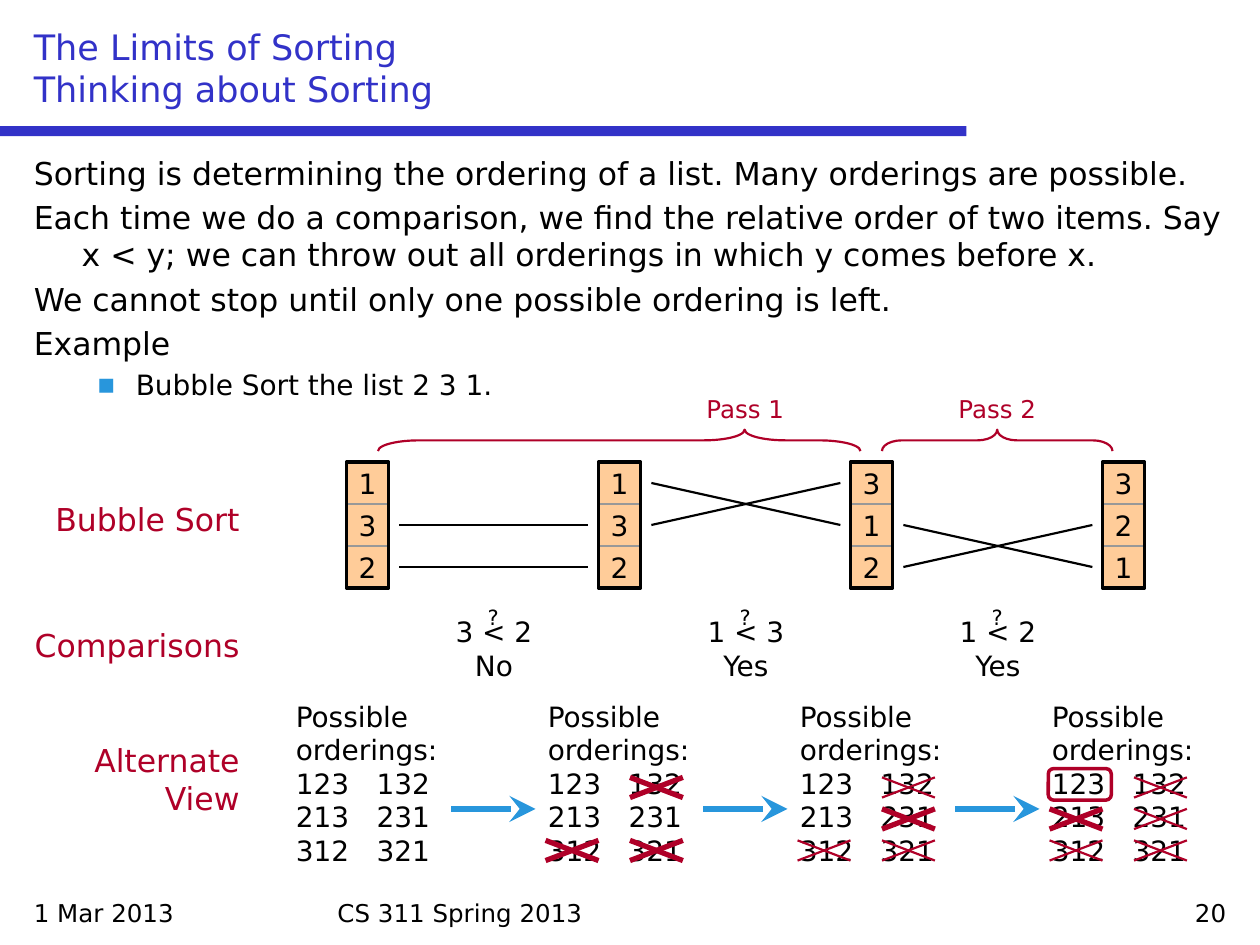
import pptx
import pptx.dml.color
import pptx.enum.shapes
import pptx.enum.text
import pptx.oxml
import pptx.oxml.ns
import pptx.util
from pptx.util import Inches

RGBColor = pptx.dml.color.RGBColor
SHAPE = pptx.enum.shapes.MSO_SHAPE
ALIGN = pptx.enum.text.PP_ALIGN
ANCHOR = pptx.enum.text.MSO_ANCHOR

FONT = "DejaVu Sans"
BLACK = RGBColor(0x00, 0x00, 0x00)
INDIGO = RGBColor(0x32, 0x32, 0xC8)
CRIMSON = RGBColor(0xAF, 0x00, 0x28)
SKY = RGBColor(0x28, 0x96, 0xDC)
PEACH = RGBColor(0xFF, 0xCC, 0x99)
GRAY = RGBColor(0x98, 0x98, 0x98)

STEP = 2          # distance between neighbouring stages
CELL = 1 / 3      # side of one list cell
LIST_LEFT, LIST_TOP = 2.75, 11 / 3

STATEMENTS = [
    "Sorting is determining the ordering of a list. Many orderings are possible.",
    "Each time we do a comparison, we find the relative order of two items. "
    "Say x < y; we can throw out all orderings in which y comes before x.",
    "We cannot stop until only one possible ordering is left.",
    "Example",
]
STAGES = ["132", "132", "312", "321"]
# Start row and end row of each link between neighbouring stages
LINKS = [[(1, 1), (2, 2)], [(0, 1), (1, 0)], [(1, 2), (2, 1)]]
COMPARISONS = [("3 < 2", "No"), ("1 < 3", "Yes"), ("1 < 2", "Yes")]
ORDERINGS = [("123", "132"), ("213", "231"), ("312", "321")]
ELIMINATED_AT = {"132": 1, "312": 1, "321": 1, "231": 2, "213": 3}


def add_child(parent, tag, **attributes):
    child = pptx.oxml.parse_xml(f"<a:{tag} {pptx.oxml.ns.nsdecls('a')}/>")
    for name, value in attributes.items():
        child.set(name, str(value))
    parent.append(child)
    return child


def add_lines(para, lines, size, color=BLACK):
    """Write lines into one paragraph, parted by line breaks."""
    for number, line in enumerate(lines):
        if number:
            para.add_line_break()
        span = para.add_run()
        span.text = line
        span.font.name = FONT
        span.font.size = pptx.util.Pt(size)
        span.font.color.rgb = color
    para.font.name = FONT
    para.font.size = pptx.util.Pt(size)


def add_text(page, left, top, width, height, lines, size, color=BLACK,
             align=ALIGN.LEFT, anchor=ANCHOR.TOP, tab=None):
    box = page.shapes.add_textbox(*map(Inches, (left, top, width, height)))
    frame = box.text_frame
    frame.word_wrap = True
    frame.vertical_anchor = anchor
    para = frame.paragraphs[0]
    para.alignment = align
    if tab:
        stops = add_child(para._p.get_or_add_pPr(), "tabLst")
        add_child(stops, "tab", pos=Inches(tab), algn="l")
    add_lines(para, lines, size, color)


def add_body(page):
    box = page.shapes.add_textbox(*map(Inches, (0.17, 1.17, 9.67, 2.1)))
    frame = box.text_frame
    frame.word_wrap = True
    for number, statement in enumerate(STATEMENTS):
        para = frame.add_paragraph() if number else frame.paragraphs[0]
        if number:
            para.space_before = pptx.util.Pt(3.6)
        properties = para._p.get_or_add_pPr()
        properties.set("marL", str(Inches(0.38)))
        properties.set("indent", str(-Inches(0.38)))
        add_lines(para, [statement], 18)
    bullet = frame.add_paragraph()
    bullet.level = 1
    bullet.space_before = pptx.util.Pt(3.2)
    properties = bullet._p.get_or_add_pPr()
    properties.set("marL", str(Inches(0.81)))
    properties.set("indent", str(-Inches(0.31)))
    add_child(add_child(properties, "buClr"), "srgbClr", val=SKY)
    add_child(properties, "buFont", typeface=FONT)
    add_child(properties, "buChar", char="▪")
    add_lines(bullet, ["Bubble Sort the list 2 3 1."], 16)


def add_shape(page, kind, left, top, width, height, fill=None, line=None,
              weight=1.25, adjustments=()):
    shape = page.shapes.add_shape(kind, *map(Inches, (left, top, width, height)))
    shape.shadow.inherit = False
    if fill is None:
        shape.fill.background()
    else:
        shape.fill.solid()
        shape.fill.fore_color.rgb = fill
    if line is None:
        shape.line.fill.background()
    else:
        shape.line.color.rgb = line
        shape.line.width = pptx.util.Pt(weight)
    for number, value in enumerate(adjustments):
        shape.adjustments[number] = value
    return shape


def add_line(page, start, end, color=BLACK, weight=1.25, arrow=False):
    line = page.shapes.add_connector(
        pptx.enum.shapes.MSO_CONNECTOR.STRAIGHT, *map(Inches, (*start, *end)))
    line.line.color.rgb = color
    line.line.width = pptx.util.Pt(weight)
    if arrow:
        add_child(line.line._get_or_add_ln(), "tailEnd",
                  type="stealth", w="lg", len="lg")
    add_child(line._element.spPr, "effectLst")


def add_list(page, left, digits):
    for row, digit in reversed(list(enumerate(digits))):
        cell = add_shape(page, SHAPE.RECTANGLE, left, LIST_TOP + row * CELL,
                         CELL, CELL, PEACH, GRAY)
        frame = cell.text_frame
        frame.word_wrap = False
        frame.vertical_anchor = ANCHOR.MIDDLE
        frame.paragraphs[0].alignment = ALIGN.CENTER
        add_lines(frame.paragraphs[0], [digit], 16)
    add_shape(page, SHAPE.RECTANGLE, left, LIST_TOP, CELL, len(digits) * CELL,
              line=BLACK, weight=2)


def add_orderings(page, stage):
    """List the orderings, crossing out those ruled out so far."""
    left = 2.25 + stage * STEP
    lines = ["Possible", "orderings:"] + ["\t".join(row) for row in ORDERINGS]
    add_text(page, left, 5.5, 1.42, 1.45, lines, 16, tab=0.64)
    for row, pair in enumerate(ORDERINGS):
        for column, ordering in enumerate(pair):
            eliminated = ELIMINATED_AT.get(ordering)
            if eliminated is None or eliminated > stage:
                continue
            weight = 3 if eliminated == stage else 1.25
            x, y = left + 0.08 + column * 0.67, 6.17 + row * 0.25
            add_line(page, (x, y + 0.16), (x + 0.42, y), CRIMSON, weight)
            add_line(page, (x, y), (x + 0.42, y + 0.16), CRIMSON, weight)


def add_comparison(page, step, lines):
    left = 3.42 + step * STEP
    add_text(page, left, 4.83, 1, 0.64, lines, 16, align=ALIGN.CENTER)
    add_text(page, left + 0.33, 4.75, 0.33, 0.3, ["?"], 12, align=ALIGN.CENTER)


def add_links(page, step, links):
    left = 3.17 + step * STEP
    for start, end in links:
        add_line(page, (left, LIST_TOP + (start + 0.5) * CELL),
                 (left + 1.5, LIST_TOP + (end + 0.5) * CELL))


def add_pass(page, label, label_left, brace_left, brace_top, length, adjustments):
    brace = add_shape(page, SHAPE.RIGHT_BRACE, brace_left, brace_top, 0.17, length,
                      line=CRIMSON, adjustments=adjustments)
    brace.rotation = 270
    add_text(page, label_left, 3.08, 1.17, 0.34, [label], 14, CRIMSON, ALIGN.CENTER)


def main():
    deck = pptx.Presentation()
    deck.slide_width, deck.slide_height = Inches(10), Inches(7.5)
    page = deck.slides.add_slide(deck.slide_layouts[6])

    add_shape(page, SHAPE.RECTANGLE, 0, 1, 7.67, 0.08, INDIGO)
    add_text(page, 0.17, 7.08, 2.33, 0.33, ["1 Mar 2013"], 14)
    add_text(page, 2.58, 7.08, 4.83, 0.33, ["CS 311 Spring 2013"], 14)
    add_text(page, 7.5, 7.08, 2.33, 0.33, ["20"], 14, align=ALIGN.RIGHT)
    add_text(page, 0.17, 0.17, 9.67, 0.75,
             ["The Limits of Sorting", "Thinking about Sorting"], 20, INDIGO,
             anchor=ANCHOR.BOTTOM)
    add_body(page)

    for stage, digits in enumerate(STAGES):
        add_orderings(page, stage)
        add_list(page, LIST_LEFT + stage * STEP, digits)
    add_shape(page, SHAPE.ROUNDED_RECTANGLE, 8.32, 6.1, 0.5, 0.25,
              line=CRIMSON, weight=2, adjustments=[0.17])
    for step, (links, comparison) in enumerate(zip(LINKS, COMPARISONS)):
        add_links(page, step, links)
        add_comparison(page, step, comparison)
        arrow_left = 3.58 + step * STEP
        add_line(page, (arrow_left, 6.42), (arrow_left + 0.67, 6.42), SKY, 3, arrow=True)

    for label, top, height in [("Bubble Sort", 3.92, 0.4), ("Comparisons", 4.92, 0.4),
                               ("Alternate View", 5.83, 0.71)]:
        add_text(page, 0.08, top, 1.92, height, [label], 18, CRIMSON, ALIGN.RIGHT)
    add_pass(page, "Pass 2", 7.33, 7.83, 2.58, 1.83, [0.92, 0.5])
    add_pass(page, "Pass 1", 5.33, 4.83, 1.58, 3.83, [1.92, 0.76])

    deck.save("out.pptx")


if __name__ == "__main__":
    main()
